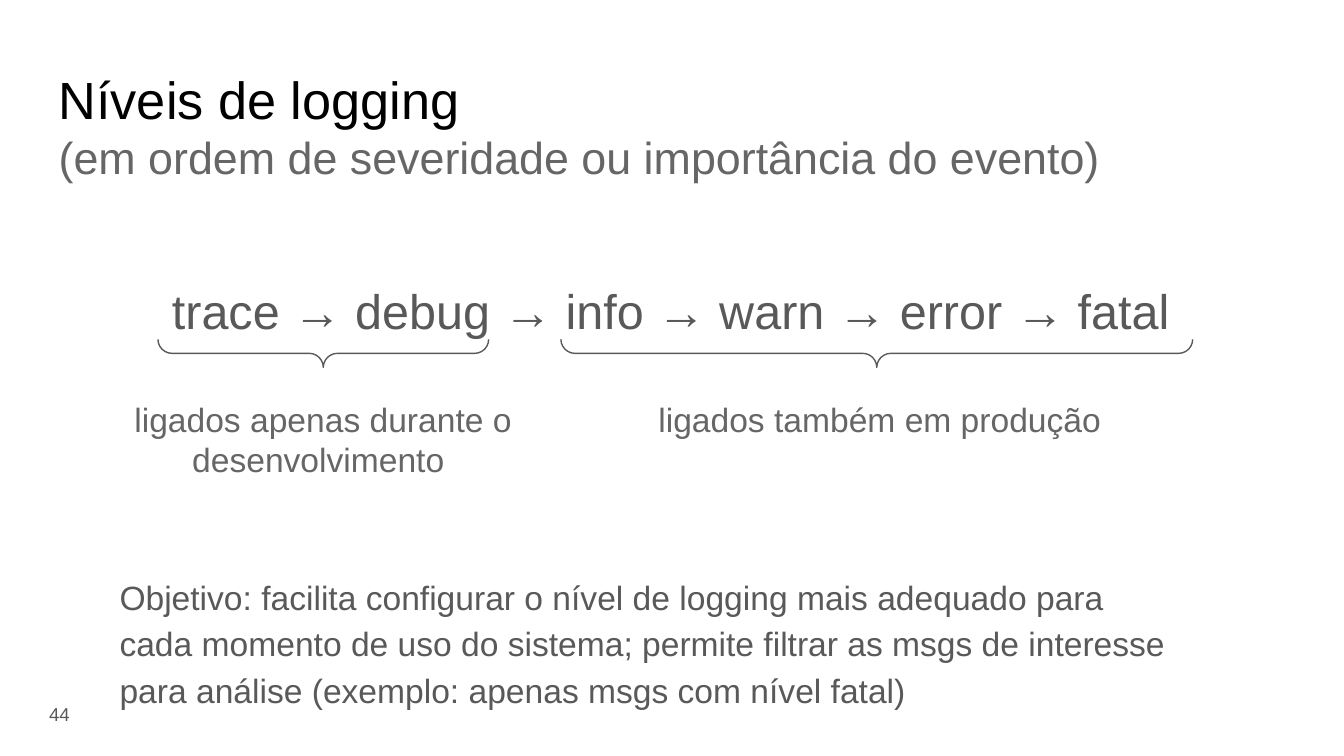
from pptx import Presentation
from pptx.dml.color import RGBColor
from pptx.enum.shapes import MSO_SHAPE
from pptx.enum.text import MSO_ANCHOR, PP_ALIGN
from pptx.util import Cm, Pt

COLORS = {"title": "000000", "body": "595959", "muted": "666666"}
LEVELS = ["trace", "debug", "info", "warn", "error", "fatal"]
INSET = Cm(0.25)


def add_text(slide, box, lines, size=18, color="body", align=PP_ALIGN.LEFT,
             spacing=1.0, anchor=MSO_ANCHOR.TOP):
    """Add a text box from a string or a list of (text, size, color) lines."""
    frame = slide.shapes.add_textbox(*map(Cm, box)).text_frame
    frame.word_wrap = True
    frame.vertical_anchor = anchor
    frame.margin_left = frame.margin_right = INSET
    frame.margin_top = frame.margin_bottom = INSET
    if isinstance(lines, str):
        lines = [(lines, size, color)]
    for index, (text, points, tone) in enumerate(lines):
        paragraph = frame.add_paragraph() if index else frame.paragraphs[0]
        paragraph.alignment = align
        paragraph.line_spacing = spacing
        run = paragraph.add_run()
        run.text = text
        run.font.name = "Arial"
        run.font.size = Pt(points)
        run.font.color.rgb = RGBColor.from_string(COLORS[tone])


def add_brace(slide, center_x, span, center_y=6.68, depth=0.53):
    """Add a brace that opens upwards and covers a horizontal span."""
    brace = slide.shapes.add_shape(
        MSO_SHAPE.RIGHT_BRACE, Cm(center_x - depth / 2),
        Cm(center_y - span / 2), Cm(depth), Cm(span))
    brace.rotation = 90
    brace.adjustments[0] = brace.adjustments[1] = 0.5
    brace.shadow.inherit = False
    brace.fill.background()
    brace.line.color.rgb = RGBColor.from_string(COLORS["body"])
    brace.line.width = Pt(0.75)


def main():
    """Build the logging levels slide and save it."""
    deck = Presentation()
    deck.slide_width, deck.slide_height = Cm(25.4), Cm(14.29)
    slide = deck.slides.add_slide(deck.slide_layouts[6])

    add_text(slide, (0.86, 1.02, 23.67, 1.6), [
        ("Níveis de logging", 28, "title"),
        ("(em ordem de severidade ou importância do evento)", 24, "muted"),
    ])
    add_text(slide, (0.86, 4.9, 23.67, 2.11), " → ".join(LEVELS), size=26,
             align=PP_ALIGN.CENTER, spacing=1.14)
    add_text(slide, (0.05, 12.95, 1.52, 1.09), "44", size=10,
             align=PP_ALIGN.RIGHT, anchor=MSO_ANCHOR.MIDDLE)

    groups = [
        (6.11, 6.25, (2.03, 7.29, 8.15, 2.06),
         "ligados apenas durante o desenvolvimento "),
        (16.57, 11.94, (10.72, 7.29, 11.81, 1.27),
         "ligados também em produção"),
    ]
    for center_x, span, caption_box, caption in groups:
        add_brace(slide, center_x, span)
        add_text(slide, caption_box, caption, color="muted",
                 align=PP_ALIGN.CENTER)

    add_text(slide, (2.01, 10.54, 20.62, 3.05),
             "Objetivo: facilita configurar o nível de logging mais adequado "
             "para cada momento de uso do sistema; permite filtrar as msgs de "
             "interesse para análise (exemplo: apenas msgs com nível fatal)",
             spacing=1.15)
    deck.save("out.pptx")


if __name__ == "__main__":
    main()
